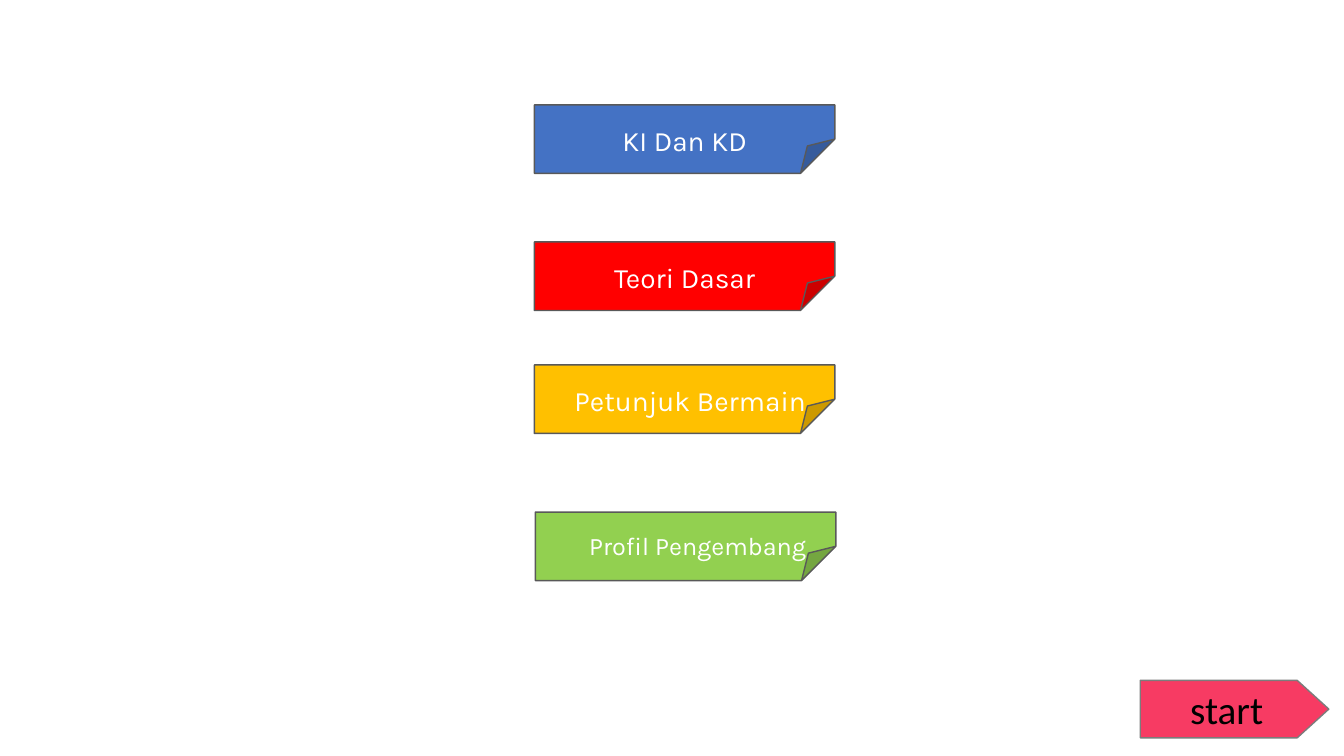
from dataclasses import dataclass

from pptx import Presentation
from pptx import util as u
from pptx.dml.color import RGBColor
from pptx.enum import shapes, text

PX = 9144  # EMU in one px, 100 px to the inch
COLOURS = {
    "blue": "4472C4", "red": "FF0000", "amber": "FFC000", "green": "92D050",
    "pink": "F73B63", "edge": "595959", "start edge": "7C7C7C",
    "white": "FFFFFF", "black": "000000",
}


@dataclass
class MenuNote:
    label: str
    left: int
    top: int
    fill: str
    size: int = 20
    shift: int = 0  # extra left inset beside the fold


MENU = [
    MenuNote("KI Dan KD", 530, 104, "blue"),
    MenuNote("Teori Dasar", 530, 240, "red"),
    MenuNote("Petunjuk Bermain", 530, 362, "amber", shift=11),
    MenuNote("Profil Pengembang", 531, 508, "green", size=18, shift=24),
]


def colour(name: str) -> RGBColor:
    return RGBColor.from_string(COLOURS[name])


def add_button(slide, kind, box: tuple[int, int, int, int], fold: float,
               fill: str, edge: str):
    button = slide.shapes.add_shape(kind, *(n * PX for n in box))
    # The folded corner has no entry in shape.adjustments, so set the guide itself
    button.element.spPr.prstGeom.rewrite_guides([("adj", round(fold * 100000))])
    button.shadow.inherit = False
    button.fill.solid()
    button.fill.fore_color.rgb = colour(fill)
    button.line.color.rgb = colour(edge)
    button.line.width = u.Pt(1)
    return button


def write_label(button, label: str, *, font: str, size: int, ink: str,
                anchor=text.MSO_ANCHOR.MIDDLE, left: int = 10, top: int = 5) -> None:
    frame = button.text_frame
    frame.word_wrap = True
    frame.vertical_anchor = anchor
    frame.margin_left, frame.margin_top = left * PX, top * PX
    line = frame.paragraphs[0]
    line.alignment = text.PP_ALIGN.CENTER
    run = line.add_run()
    run.text = label
    run.font.name = font
    run.font.size = u.Pt(size)
    run.font.color.rgb = colour(ink)


def main() -> None:
    deck = Presentation()
    deck.slide_width, deck.slide_height = 1333 * PX, 750 * PX
    slide = deck.slides.add_slide(deck.slide_layouts[6])

    # Menu notes
    for note in MENU:
        button = add_button(slide, shapes.MSO_SHAPE.FOLDED_CORNER,
                            (note.left, note.top, 298, 68), 0.5, note.fill, "edge")
        write_label(button, note.label, font="Karla", size=note.size, ink="white",
                    anchor=text.MSO_ANCHOR.TOP, left=10 + note.shift, top=18)

    # Start arrow
    start = add_button(slide, shapes.MSO_SHAPE.PENTAGON, (1131, 675, 187, 57),
                       0.55, "pink", "start edge")
    write_label(start, "start", font="Calibri", size=28, ink="black")

    deck.save("out.pptx")


if __name__ == "__main__":
    main()
